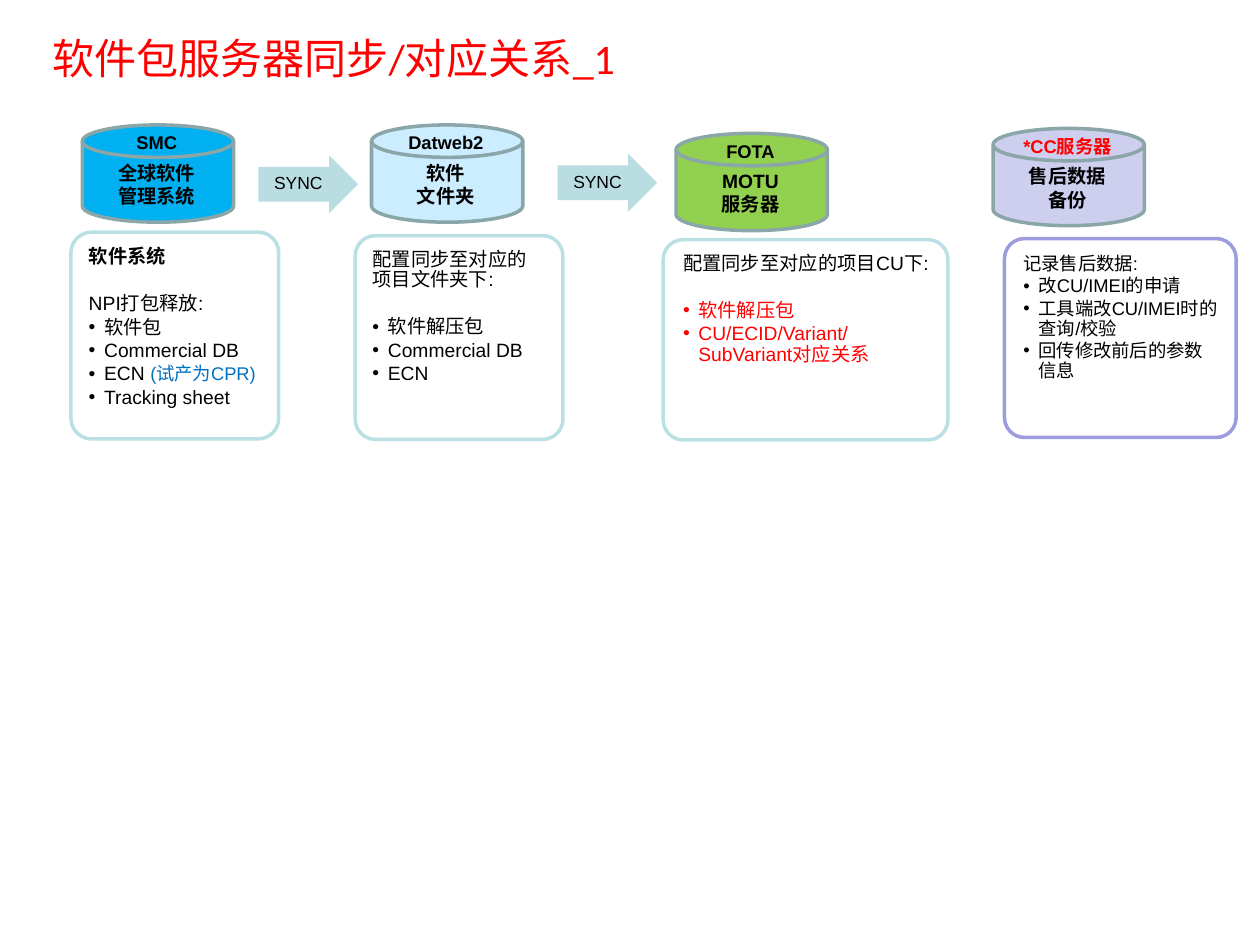
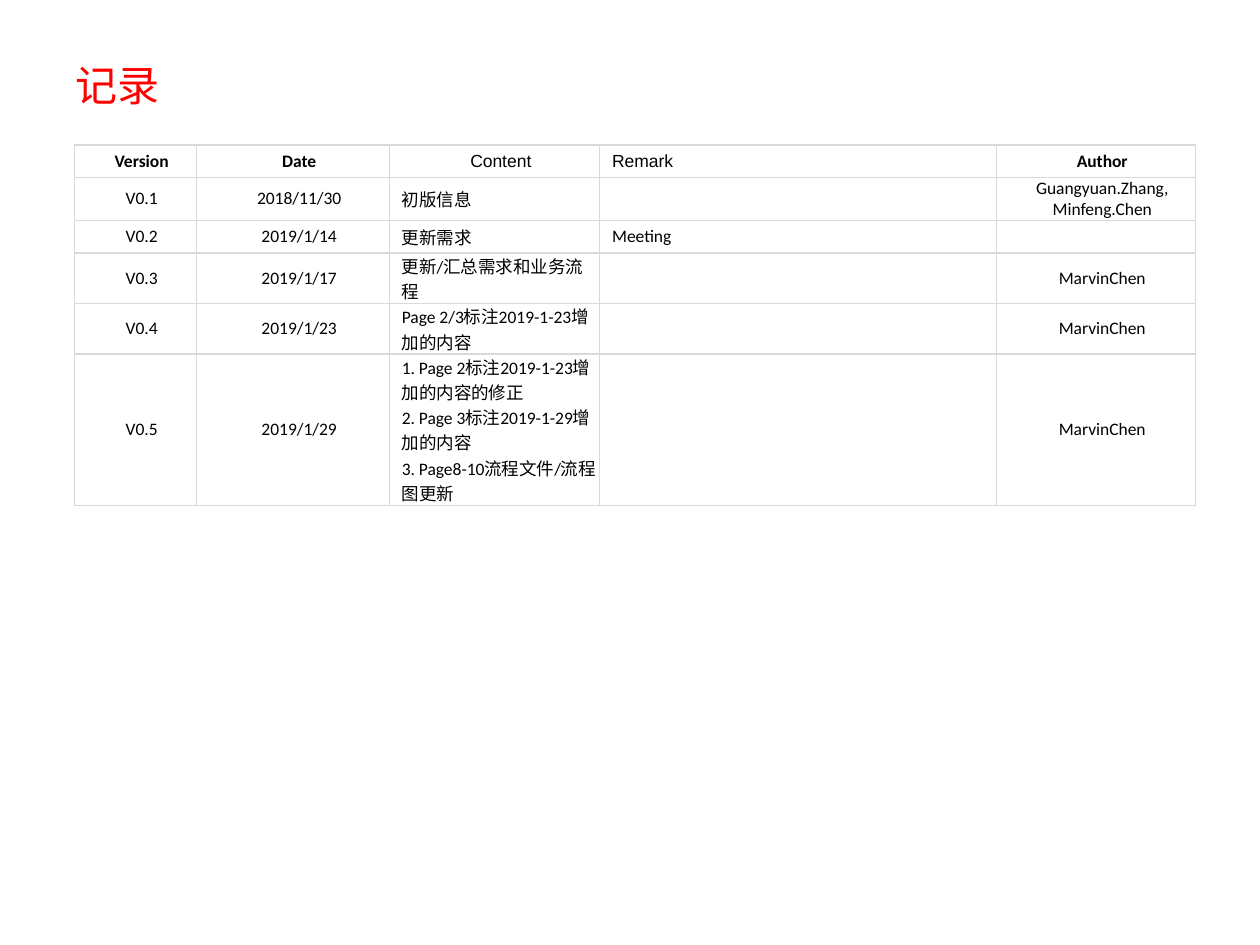
from dataclasses import dataclass

from lxml import etree
from pptx import Presentation
from pptx.dml.color import RGBColor
from pptx.enum.shapes import MSO_SHAPE
from pptx.enum.text import MSO_ANCHOR, PP_ALIGN
from pptx.oxml.ns import qn
from pptx.util import Cm, Pt

LEFT, CENTER = PP_ALIGN.LEFT, PP_ALIGN.CENTER
TOP, MIDDLE = MSO_ANCHOR.TOP, MSO_ANCHOR.MIDDLE
DISK, CARD, ARROW = (MSO_SHAPE.FLOWCHART_MAGNETIC_DISK,
                     MSO_SHAPE.ROUNDED_RECTANGLE, MSO_SHAPE.RIGHT_ARROW)


@dataclass(frozen=True)
class Theme:
    red: str = "FF0000"
    black: str = "000000"
    white: str = "FFFFFF"
    blue: str = "0070C0"
    disk_line: str = "8AA6A8"
    card_line: str = "BBE0E3"
    backup_line: str = "9C9CDF"
    arrow: str = "BADDE1"
    grid: str = "D9D9D9"
    title: float = 24
    body: float = 11
    small: float = 10.5
    cell: float = 10
    sans: str = "Arial"
    text: str = "Calibri"


THEME = Theme()


@dataclass(frozen=True)
class Line:
    """A paragraph: its text, or (text, size, colour) spans, and its look."""
    text: object
    bullet: bool = False
    bold: bool = False
    color: str = THEME.black
    gap: float = 0


def write(frame, lines, size, font=THEME.sans, align=LEFT, anchor=TOP,
          insets=(0.25, 0.13, 0.25, 0.13), spacing=None, after=0):
    """Fill a text frame; insets are left, top, right, bottom in cm."""
    frame.word_wrap = True
    frame.vertical_anchor = anchor
    (frame.margin_left, frame.margin_top,
     frame.margin_right, frame.margin_bottom) = map(Cm, insets)
    for index, line in enumerate(lines):
        para = frame.paragraphs[0] if index == 0 else frame.add_paragraph()
        para.alignment = align
        para.line_spacing = spacing
        para.space_before, para.space_after = Pt(line.gap), Pt(after)
        if line.bullet:
            props = para._p.get_or_add_pPr()
            props.set("marL", str(Cm(0.31)))
            props.set("indent", str(-Cm(0.31)))
            etree.SubElement(props, qn("a:buFont")).set("typeface", THEME.sans)
            etree.SubElement(props, qn("a:buChar")).set("char", "•")
        spans = line.text
        if isinstance(spans, str):
            spans = [(spans, size, line.color)]
        for text, points, color in spans:
            span = para.add_run()
            span.text = text
            span.font.name, span.font.size = font, Pt(points)
            span.font.bold = line.bold
            span.font.color.rgb = RGBColor.from_string(color)


def add_box(page, kind, at, fill, line=None):
    box = page.shapes.add_shape(kind, *map(Cm, at))
    box.shadow.inherit = False
    box.fill.solid()
    box.fill.fore_color.rgb = RGBColor.from_string(fill)
    if line:
        box.line.color.rgb = RGBColor.from_string(line)
        box.line.width = Pt(2)
    else:
        box.line.fill.background()
    return box


deck = Presentation()
deck.slide_width, deck.slide_height = Cm(25.4), Cm(19.05)
pages = []
for title, left, top in [("软件包服务器同步/对应关系_1", 0.81, 0.53),
                         ("记录", 1.27, 1.07)]:
    page = deck.slides.add_slide(deck.slide_layouts[6])
    box = page.shapes.add_textbox(Cm(left), Cm(top), Cm(22.86), Cm(1.27))
    write(box.text_frame, [Line(title, color=THEME.red)], THEME.title,
          font=THEME.text, anchor=MIDDLE)
    pages.append(page)
sync_page, record_page = pages

# Servers
servers = [
    (1.66, 2.52, "00B0F0", "SMC", THEME.black, ["全球软件", "管理系统"]),
    (7.49, 2.52, "CCECFF", "Datweb2", THEME.black, ["软件", "文件夹"]),
    (13.63, 2.69, "92D050", "FOTA", THEME.black, ["MOTU", "服务器"]),
    (20.02, 2.59, "CECEEF", "*CC服务器", THEME.red, ["售后数据", "备份"]),
]
for left, top, fill, name, name_color, role in servers:
    add_box(sync_page, DISK, (left, top, 3.05, 1.96), fill, THEME.disk_line)
    role_lines = [Line(text, bold=True) for text in role]
    name_line = Line(name, bold=True, color=name_color)
    for lines, drop, height, size in [(role_lines, 0.6, 1.19, THEME.body),
                                      ([name_line], 0, 0.74, THEME.small)]:
        label = sync_page.shapes.add_textbox(
            Cm(left + 0.23), Cm(top + drop), Cm(2.54), Cm(height))
        write(label.text_frame, lines, size, align=CENTER)

# What each server holds: card, text area, line colour, type size, lines
BLANK_LINE = 13.5
cards = [
    ((1.43, 4.68, 4.19, 4.17), (1.56, 4.75, 3.96, 4.11),
     THEME.card_line, THEME.body, [
        Line("软件系统", bold=True),
        Line("NPI打包释放:", gap=BLANK_LINE),
        Line("软件包", bullet=True),
        Line("Commercial DB", bullet=True),
        Line([("ECN ", THEME.body, THEME.black),
              ("(试产为CPR)", THEME.small, THEME.blue)], bullet=True),
        Line("Tracking sheet", bullet=True)]),
    ((7.16, 4.75, 4.19, 4.11), (7.28, 4.8, 3.96, 4.06),
     THEME.card_line, THEME.body, [
        Line("配置同步至对应的项目文件夹下:"),
        Line("软件解压包", bullet=True, gap=BLANK_LINE),
        Line("Commercial DB", bullet=True),
        Line("ECN", bullet=True)]),
    ((13.37, 4.83, 5.74, 4.04), (13.54, 4.88, 5.38, 3.99),
     THEME.card_line, THEME.body, [
        Line("配置同步至对应的项目CU下:"),
        Line("软件解压包", bullet=True, color=THEME.red, gap=BLANK_LINE),
        Line("CU/ECID/Variant/SubVariant对应关系", bullet=True,
             color=THEME.red)]),
    ((20.25, 4.81, 4.67, 4.01), (20.4, 4.9, 4.39, 3.96),
     THEME.backup_line, THEME.small, [
        Line("记录售后数据:"),
        Line("改CU/IMEI的申请", bullet=True),
        Line("工具端改CU/IMEI时的查询/校验", bullet=True),
        Line("回传修改前后的参数信息", bullet=True)]),
]
for card_at, text_at, line_color, size, lines in cards:
    card = add_box(sync_page, CARD, card_at, THEME.white, line_color)
    card.adjustments[0] = 0.1
    body = sync_page.shapes.add_textbox(*map(Cm, text_at))
    write(body.text_frame, lines, size, insets=(0.23,) * 4,
          spacing=0.9, after=1.5)

# Sync arrows
for left, top in [(5.21, 3.13), (11.24, 3.1)]:
    arrow = add_box(sync_page, ARROW, (left, top, 2.01, 1.17), THEME.arrow)
    arrow.adjustments[0], arrow.adjustments[1] = 0.6, 0.5
    label = sync_page.shapes.add_textbox(
        Cm(left + 0.03), Cm(top + 0.23), Cm(1.55), Cm(0.71))
    write(label.text_frame, [Line("SYNC")], THEME.cell, align=CENTER,
          anchor=MIDDLE, insets=(0,) * 4, spacing=0.9)

# Version record: row height, then the cells
records = [
    (0.66, ["Version", "Date", "Content", "Remark", "Author"]),
    (0.86, ["V0.1", "2018/11/30", "初版信息", "",
            "Guangyuan.Zhang,\nMinfeng.Chen"]),
    (0.66, ["V0.2", "2019/1/14", "更新需求", "Meeting", ""]),
    (1.02, ["V0.3", "2019/1/17", "更新/汇总需求和业务流程", "", "MarvinChen"]),
    (1.02, ["V0.4", "2019/1/23", "Page 2/3标注2019-1-23增加的内容", "",
            "MarvinChen"]),
    (3.05, ["V0.5", "2019/1/29",
            "1. Page 2标注2019-1-23增加的内容的修正\n"
            "2. Page 3标注2019-1-29增加的内容\n"
            "3. Page8-10流程文件/流程图更新", "", "MarvinChen"]),
]
widths = [2.46, 3.89, 4.24, 8.0, 4.01]
table = record_page.shapes.add_table(
    len(records), len(widths), Cm(1.5), Cm(2.92), Cm(sum(widths)),
    Cm(sum(height for height, _ in records))).table
for column, width in zip(table.columns, widths):
    column.width = Cm(width)
for row_index, (height, record) in enumerate(records):
    table.rows[row_index].height = Cm(height)
    for column_index, text in enumerate(record):
        cell = table.cell(row_index, column_index)
        header = row_index == 0
        plain_header = header and column_index in (2, 3)
        centered = column_index in (0, 1, 4) or (header and column_index == 2)
        lines = [Line(part, bold=header and not plain_header)
                 for part in text.split("\n") if part]
        write(cell.text_frame, lines, THEME.cell,
              font=THEME.sans if plain_header else THEME.text,
              align=CENTER if centered else LEFT)
        if not text:
            end = cell.text_frame.paragraphs[0]._p.get_or_add_endParaRPr()
            end.set("sz", str(THEME.cell * 100))
        cell.vertical_anchor = MIDDLE
        cell.margin_left = Cm(0.25)
        cell.margin_top = cell.margin_right = cell.margin_bottom = 0
        props = cell._tc.get_or_add_tcPr()
        for side in ("lnL", "lnR", "lnT", "lnB"):
            border = etree.SubElement(props, qn(f"a:{side}"), w=str(Pt(1)))
            paint = etree.SubElement(border, qn("a:solidFill"))
            etree.SubElement(paint, qn("a:srgbClr"), val=THEME.grid)
        cell.fill.solid()
        cell.fill.fore_color.rgb = RGBColor.from_string(THEME.white)

deck.save("out.pptx")
